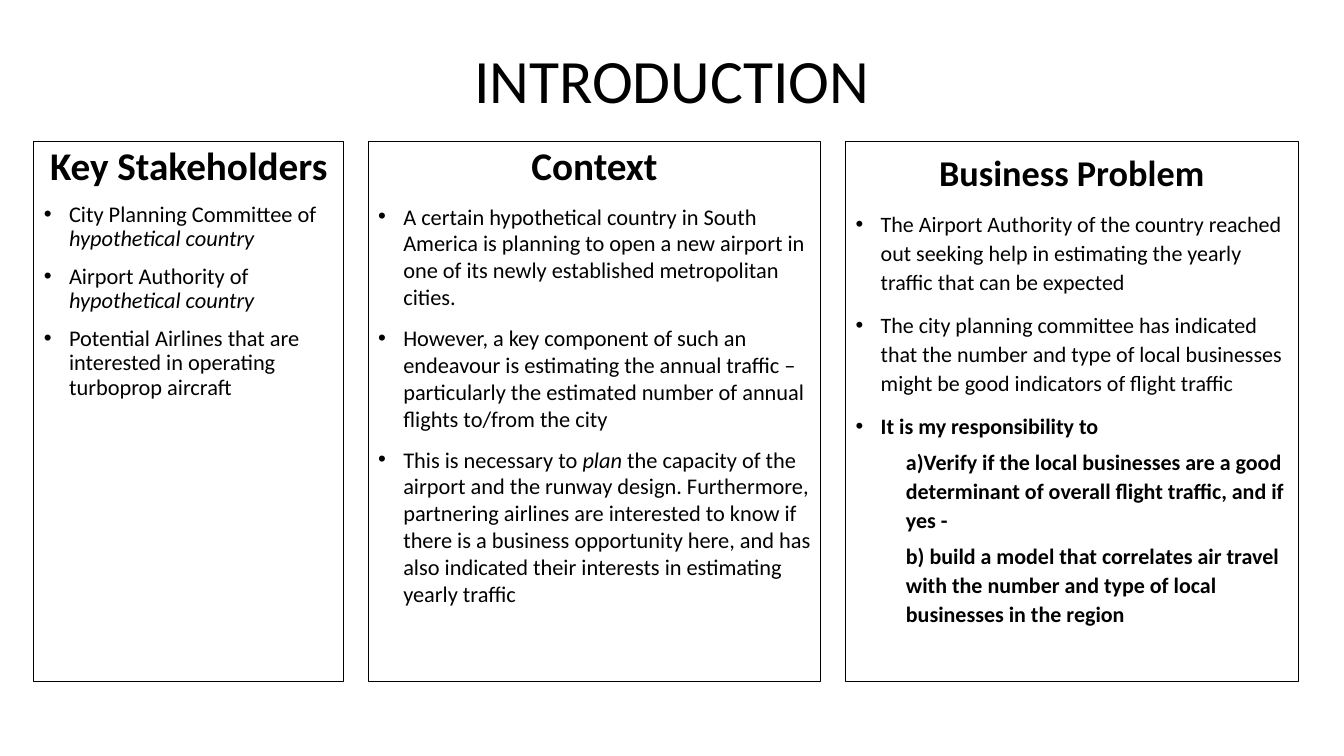
from pptx import Presentation
from pptx.dml.color import RGBColor
from pptx.enum.shapes import MSO_SHAPE as SHAPE
from pptx.enum.text import MSO_ANCHOR as ANCHOR, PP_ALIGN as ALIGN
from pptx.oxml.ns import qn
from pptx.util import Pt
from lxml.etree import SubElement

BLACK = "000000"
FONT = "Calibri"
TITLE = "INTRODUCTION"
TOP, HEIGHT, INDENT = 101, 386, 18

PANELS = [
    dict(
        heading="Key Stakeholders", left=24.3, width=221,
        heading_size=28, size=16, spacing=0.9,
        items=[
            ("bullet", [("City Planning Committee of ", ""), ("hypothetical country", "i")]),
            ("bullet", [("Airport Authority of ", ""), ("hypothetical country", "i")]),
            ("bullet", [("Potential Airlines that are interested in operating turboprop aircraft", "")]),
        ],
    ),
    dict(
        heading="Context", left=263, width=323.3,
        heading_size=28, size=16, spacing=1.0,
        items=[
            ("bullet", [("A certain hypothetical country in South America is planning to open a new "
                         "airport in one of its newly established metropolitan cities.", "")]),
            ("bullet", [("However, a key component of such an endeavour is estimating the annual "
                         "traffic – particularly the estimated number of annual flights to/from "
                         "the city", "")]),
            ("bullet", [("This is necessary to ", ""), ("plan", "i"),
                        (" the capacity of the airport and the runway design. Furthermore, "
                         "partnering airlines are interested to know if there is a business "
                         "opportunity here, and has also indicated their interests in estimating "
                         "yearly traffic", "")]),
        ],
    ),
    dict(
        heading="Business Problem", left=604, width=323.3,
        heading_size=25.9, size=15.7, spacing=1.1,
        items=[
            ("bullet", [("The Airport Authority of the country reached out seeking help in "
                         "estimating the yearly traffic that can be expected", "")]),
            ("bullet", [("The city planning committee has indicated that the number and type of "
                         "local businesses might be good indicators of flight traffic", "")]),
            ("bullet", [("It is my responsibility to", "b")]),
            ("sub", [("a)Verify if the local businesses are a good determinant of overall flight "
                      "traffic, and if yes -", "b")]),
            ("sub", [("b) build a model that correlates air travel with the number and type of "
                      "local businesses in the region", "b")]),
        ],
    ),
]


def color(value):
    return RGBColor.from_string(value)


def add_run(p, text, size, style=""):
    r = p.add_run()
    r.text = text
    r.font.name = FONT
    r.font.size = Pt(size)
    r.font.bold = "b" in style
    r.font.italic = "i" in style
    r.font.color.rgb = color(BLACK)


def format_paragraph(p, align, spacing, before):
    p.alignment = align
    p.line_spacing = spacing
    p.space_before = Pt(before)


def set_indent(p, kind):
    pPr = p._p.get_or_add_pPr()
    if kind == "bullet":
        pPr.set("marL", str(Pt(INDENT)))
        pPr.set("indent", str(-Pt(INDENT)))
        SubElement(pPr, qn("a:buFont")).set("typeface", "Arial")
        SubElement(pPr, qn("a:buChar")).set("char", "•")
    else:
        p.level = 1
        pPr.set("marL", str(Pt(2 * INDENT)))
        pPr.set("indent", "0")


def add_panel(s, panel):
    sp = s.shapes.add_shape(SHAPE.RECTANGLE, Pt(panel["left"]), Pt(TOP),
                            Pt(panel["width"]), Pt(HEIGHT))
    sp.shadow.inherit = False
    sp.fill.background()
    sp.line.color.rgb = color(BLACK)
    sp.line.width = Pt(0.75)
    tf = sp.text_frame
    tf.word_wrap = True
    tf.vertical_anchor = ANCHOR.TOP
    p = tf.paragraphs[0]
    format_paragraph(p, ALIGN.CENTER, panel["spacing"] if panel["spacing"] > 1 else 0.9, 10)
    add_run(p, panel["heading"], panel["heading_size"], "b")
    for kind, runs in panel["items"]:
        p = tf.add_paragraph()
        format_paragraph(p, ALIGN.LEFT, panel["spacing"], 10 if kind == "bullet" else 5)
        set_indent(p, kind)
        for text, style in runs:
            add_run(p, text, panel["size"], style)


def main():
    prs = Presentation()
    prs.slide_width, prs.slide_height = Pt(960), Pt(540)
    s = prs.slides.add_slide(prs.slide_layouts[5])
    title = s.shapes.title
    title.left, title.top, title.width, title.height = Pt(0), Pt(0), Pt(960), Pt(119)
    tf = title.text_frame
    tf.vertical_anchor = ANCHOR.MIDDLE
    p = tf.paragraphs[0]
    format_paragraph(p, ALIGN.CENTER, 0.9, 0)
    add_run(p, TITLE, 44)
    for panel in PANELS:
        add_panel(s, panel)
    prs.save("out.pptx")


if __name__ == "__main__":
    main()
